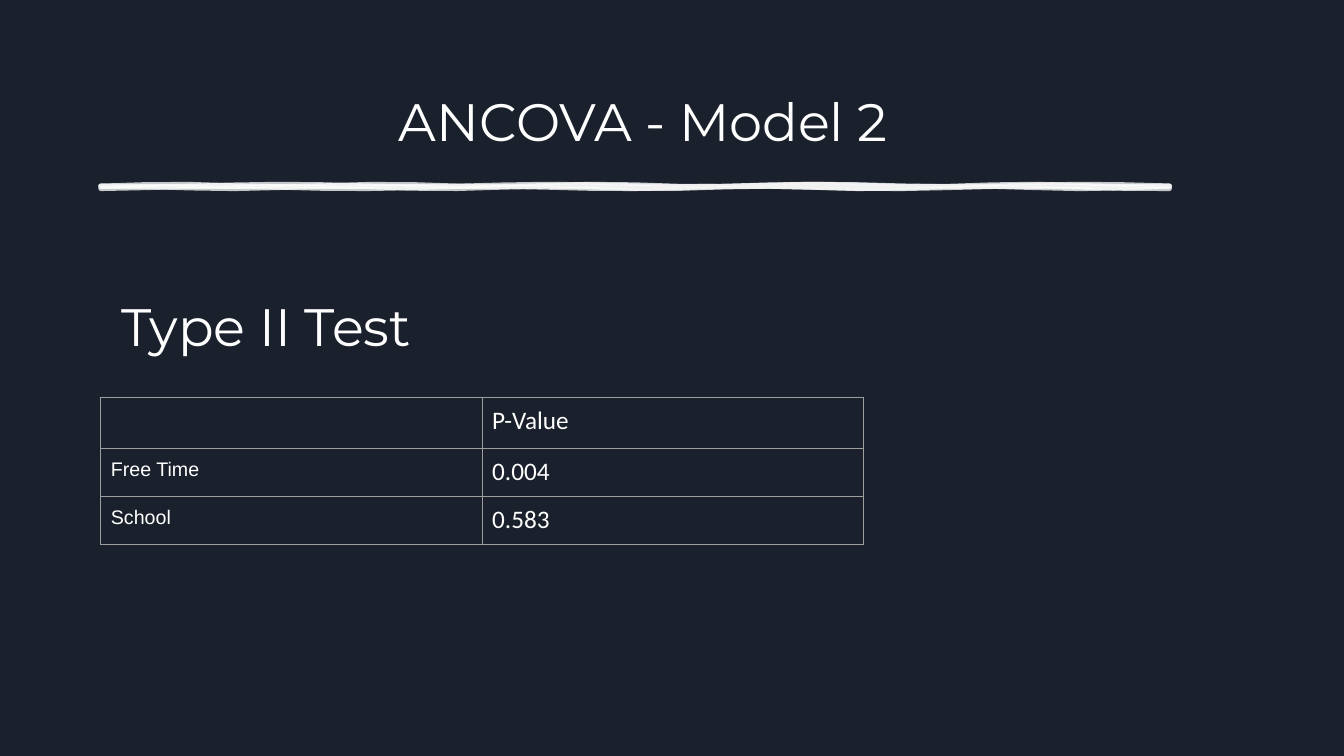
from math import pi, sin

from lxml.etree import SubElement
from pptx import Presentation
from pptx.dml.color import RGBColor
from pptx.enum.shapes import MSO_SHAPE as Shape
from pptx.enum.text import MSO_ANCHOR as Anchor, PP_ALIGN as Align
from pptx.oxml.ns import qn
from pptx.util import Inches, Pt

NAVY = RGBColor(0x1B, 0x21, 0x2C)
WHITE = RGBColor(0xFF, 0xFF, 0xFF)
GREY = RGBColor(0x9E, 0x9E, 0x9E)
WIDE, HIGH = Inches(13.33), Inches(7.5)
SIDES = ("left", "right", "top", "bottom")

HEAD = dict(name="Montserrat", size=Pt(37.6))
VALUE = dict(name="Calibri", size=Pt(18))
LABEL = dict(name="Arial", size=Pt(14))
ROWS = [("", "P-Value"), ("Free Time", "0.004"), ("School", "0.583")]
# Each ring of the brush: turns and phase of its wave
RINGS = [(4, 0.4), (5, 2.6)]


def place(x, y, w, h):
    """Turn percent of the slide into a box of lengths."""
    return [round(v / 100) for v in (x * WIDE, y * HIGH, w * WIDE, h * HIGH)]


def write(para, text, font, **form):
    run = para.add_run()
    run.text = text
    run.font.color.rgb = WHITE
    for key, val in font.items():
        setattr(run.font, key, val)
    for key, val in form.items():
        setattr(para, key, val)


def add_plain(slide, kind, box):
    shape = slide.shapes.add_shape(kind, *box)
    shape.shadow.inherit = False
    shape.fill.background()
    shape.line.fill.background()
    return shape


def add_back(slide, box):
    fill = add_plain(slide, Shape.RECTANGLE, box).fill
    fill.solid()
    fill.fore_color.rgb = NAVY


def add_head(shape, text, pad):
    frame = shape.text_frame
    frame.word_wrap = True
    frame.vertical_anchor = Anchor.MIDDLE
    frame.margin_top = frame.margin_bottom = pad
    write(frame.paragraphs[0], text, HEAD,
          alignment=Align.CENTER, line_spacing=0.9)


def add_brush(slide, box, steps=24):
    """Draw wavy, see-through rings along the box as one outline."""
    x, y, w, h = box

    def edge(base, turns, phase):
        return [(round(x + w * i / steps),
                 round(y + h * (base + 0.6 * sin(2 * pi * turns * i / steps
                                                 + phase))))
                for i in range(steps + 1)]

    pen = slide.shapes.build_freeform(x, y)
    for turns, phase in RINGS:
        ring = edge(0, turns, phase) + edge(1, turns, phase + 1.5)[::-1]
        pen.move_to(*ring[0])
        pen.add_line_segments(ring[1:])
    brush = pen.convert_to_shape()
    brush.shadow.inherit = False
    brush.line.width = Pt(3.5)
    for paint in (brush.fill, brush.line.fill):
        paint.solid()
        paint.fore_color.rgb = WHITE
    for tint in brush._element.spPr.iter(qn("a:srgbClr")):
        SubElement(tint, qn("a:alpha"), val="75000")


def add_rules(cell):
    props = cell._tc.get_or_add_tcPr()
    for i, side in enumerate(("lnL", "lnR", "lnT", "lnB")):
        rule = props.makeelement(qn("a:" + side), {"w": str(Pt(0.75))})
        paint = SubElement(rule, qn("a:solidFill"))
        SubElement(paint, qn("a:srgbClr"), val=str(GREY))
        props.insert(i, rule)


def add_grid(slide, box):
    table = slide.shapes.add_table(len(ROWS), len(ROWS[0]), *box).table
    table.first_row = table.horz_banding = False
    for r, row in enumerate(ROWS):
        for c, text in enumerate(row):
            cell = table.cell(r, c)
            cell.fill.background()
            add_rules(cell)
            for side in SIDES:
                setattr(cell, "margin_" + side, Inches(0.1))
            para = cell.text_frame.paragraphs[0]
            if not text:
                para.line_spacing = 0.9
            elif c:
                write(para, text, VALUE, line_spacing=0.9, space_before=Pt(6))
            else:
                write(para, text, LABEL)


def main():
    deck = Presentation()
    deck.slide_width, deck.slide_height = WIDE, HIGH
    slide = deck.slides.add_slide(deck.slide_layouts[6])
    back = slide.background.fill
    back.solid()
    back.fore_color.rgb = NAVY

    left = 7.5
    add_back(slide, place(0, 0, 100, 100))
    title = add_plain(slide, Shape.OVAL, place(-2.4, 7.65, 101.58, 17.73))
    add_head(title, "ANCOVA - Model 2 ", Inches(0.05))
    add_brush(slide, place(left, 24.53, 79.52, 0.27))
    add_grid(slide, place(left, 52.6, 56.75, 19))
    label = slide.shapes.add_textbox(*place(left, 38.45, 24.6, 10.27))
    add_head(label, "Type II Test", Inches(0.1))
    deck.save("out.pptx")


if __name__ == "__main__":
    main()
